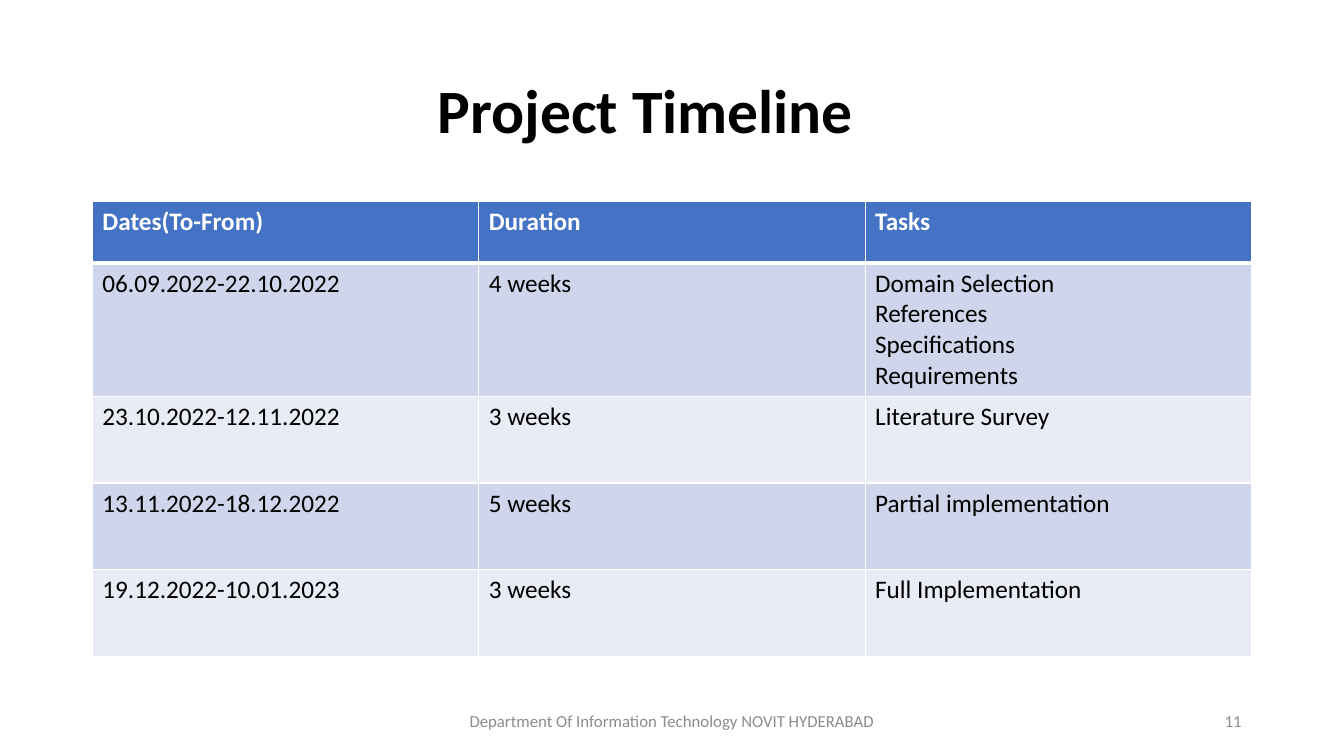
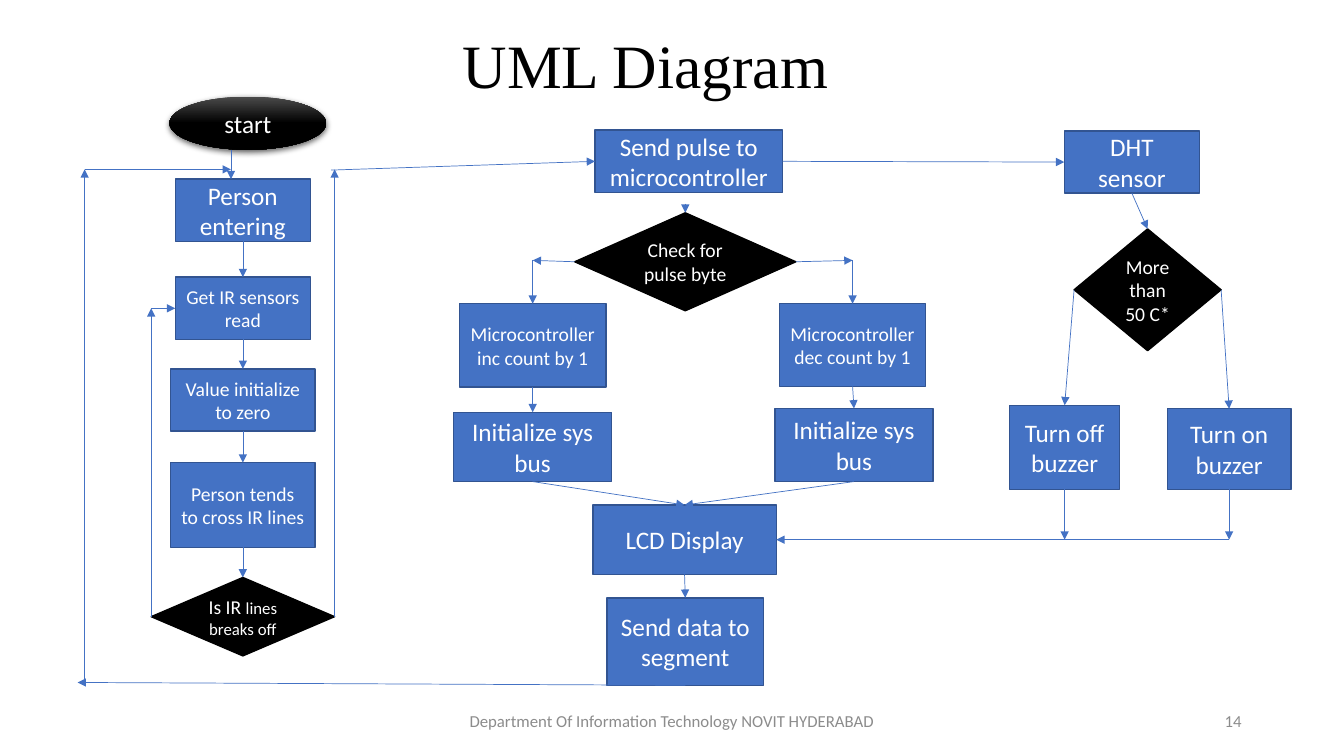
from dataclasses import dataclass

from lxml import etree
from pptx import Presentation
from pptx.dml.color import RGBColor
from pptx.enum import shapes as kinds, text as modes
from pptx.oxml import ns
from pptx.util import Pt

ALIGN = modes.PP_ALIGN
SHAPE = kinds.MSO_SHAPE
TOP, LEFT, BASE, RIGHT = range(4)  # connection sites of boxes and diamonds


@dataclass(frozen=True)
class Theme:
    sans: str = "Calibri"
    serif: str = "Times New Roman"
    black: str = "000000"
    white: str = "FFFFFF"
    gray: str = "8C8C8C"
    gloss: str = "4B4B4B"
    blue: str = "4472C4"
    edge: str = "325491"
    bands: tuple = ("CFD5EA", "E9EBF5")
    head: int = 44
    body: int = 18
    note: int = 14
    small: int = 12
    footer: str = "Department Of Information Technology NOVIT HYDERABAD"


def rgb(code):
    return RGBColor.from_string(code)


def pts(*nums):
    return [Pt(n) for n in nums]


def sub(node, tag, **attrs):
    return etree.SubElement(node, ns.qn("a:" + tag), attrs)


class Deck:
    def __init__(self, theme):
        self.theme = theme
        self.file = Presentation()
        self.file.slide_width, self.file.slide_height = pts(960, 540)
        self.page = None

    def slide(self, title, number, top, height, font, bold=False):
        """Start a slide with its title, footer and number."""
        t = self.theme
        self.page = self.file.slides.add_slide(self.file.slide_layouts[5])
        shape = self.page.shapes.title
        shape.left, shape.top, shape.width, shape.height = pts(66, top, 828, height)
        frame = shape.text_frame
        frame.auto_size = modes.MSO_AUTO_SIZE.NONE
        frame.vertical_anchor = modes.MSO_ANCHOR.MIDDLE
        frame.margin_right = Pt(45)
        para = frame.paragraphs[0]
        para.alignment = ALIGN.CENTER
        para.line_spacing = 0.9
        self.run(para, title, t.head, t.black, font, bold)
        self.label(t.footer, 318, 324, ALIGN.CENTER)
        self.label(str(number), 678, 216, ALIGN.RIGHT)

    def run(self, para, words, size, color, font=None, bold=False):
        run = para.add_run()
        run.text = words
        run.font.name = font or self.theme.sans
        run.font.size = Pt(size)
        run.font.bold = bold
        run.font.color.rgb = rgb(color)

    def label(self, words, left, width, align):
        """Add a line of text in the footer band."""
        box = self.page.shapes.add_textbox(*pts(left, 500.5, width, 28.75))
        frame = box.text_frame
        frame.word_wrap = True
        frame.vertical_anchor = modes.MSO_ANCHOR.MIDDLE
        para = frame.paragraphs[0]
        para.alignment = align
        self.run(para, words, self.theme.small, self.theme.gray)

    def table(self, left, top, width, heights, rows):
        grid = self.page.shapes.add_table(
            len(rows), len(rows[0]), *pts(left, top, width, sum(heights))).table
        grid.horz_banding = False
        for i, (high, row) in enumerate(zip(heights, rows)):
            grid.rows[i].height = Pt(high)
            for j, lines in enumerate(row):
                self.cell(grid.cell(i, j), lines.split("\n"), i)

    def cell(self, cell, lines, row):
        t = self.theme
        head = row == 0
        props = cell._tc.get_or_add_tcPr()
        for side in "LRTB":
            thick = (side == "B" and head) or (side == "T" and row == 1)
            line = sub(props, "ln" + side, w=str(Pt(3 if thick else 1)))
            sub(sub(line, "solidFill"), "srgbClr", val=t.white)
        cell.fill.solid()
        cell.fill.fore_color.rgb = rgb(t.blue if head else t.bands[(row - 1) % 2])
        for k, words in enumerate(lines):
            frame = cell.text_frame
            para = frame.add_paragraph() if k else frame.paragraphs[0]
            self.run(para, words, t.body, t.white if head else t.black, bold=head)

    def node(self, kind, mid, top, width, height, runs, fill, edge):
        """Add a shape centred on x = mid; runs are (words, size) pairs."""
        shape = self.page.shapes.add_shape(
            kind, *pts(mid - width / 2, top, width, height))
        shape.shadow.inherit = False
        shape.fill.solid()
        shape.fill.fore_color.rgb = rgb(fill)
        shape.line.color.rgb = rgb(edge)
        shape.line.width = Pt(1)
        para = shape.text_frame.paragraphs[0]
        para.alignment = ALIGN.CENTER
        for words, size in runs:
            self.run(para, words, size, self.theme.white)
        return shape

    def box(self, mid, top, width, height, words, size=None):
        t = self.theme
        return self.node(SHAPE.RECTANGLE, mid, top, width, height,
                         [(words, size or t.body)], t.blue, t.edge)

    def choice(self, mid, top, width, height, *runs):
        t = self.theme
        return self.node(SHAPE.FLOWCHART_DECISION, mid, top, width, height,
                         runs, t.black, t.black)

    def start(self, mid, top, width, height, words):
        """Add the glossy oval where the flow begins."""
        t = self.theme
        oval = self.node(SHAPE.OVAL, mid, top, width, height,
                         [(words, t.body)], t.black, t.black)
        oval.line.fill.background()
        oval.fill.gradient()
        oval.fill.gradient_angle = 270
        stops = zip(oval.fill.gradient_stops, (t.gloss, t.black), (0, 0.5))
        for stop, color, place in stops:
            stop.color.rgb = rgb(color)
            stop.position = place
        glow = oval._element.spPr.find(ns.qn("a:effectLst"))
        shade = sub(glow, "outerShdw", blurRad=str(Pt(4.5)), dist=str(Pt(1.5)),
                    dir="5400000", algn="ctr", rotWithShape="0")
        sub(sub(shade, "srgbClr", val=t.black), "alpha", val="63000")

    def arrow(self, start, end):
        """Draw an arrow; each end is (x, y) or (shape, site)."""
        glued = [not isinstance(e[0], (int, float)) for e in (start, end)]
        spots = [(0, 0) if g else e for g, e in zip(glued, (start, end))]
        line = self.page.shapes.add_connector(
            kinds.MSO_CONNECTOR.STRAIGHT, *pts(*spots[0], *spots[1]))
        if glued[0]:
            line.begin_connect(*start)
        if glued[1]:
            line.end_connect(*end)
        line.line.color.rgb = rgb(self.theme.blue)
        line.line.width = Pt(0.5)
        props = line._element.spPr
        sub(props.find(ns.qn("a:ln")), "tailEnd", type="triangle")
        sub(props, "effectLst")


def timeline(deck):
    deck.slide("Project Timeline", 11, 28.75, 104.4, deck.theme.sans, True)
    deck.table(66, 144, 828, [44, 95, 62, 62, 62], [
        ("Dates(To-From)", "Duration", "Tasks"),
        ("06.09.2022-22.10.2022", "4 weeks",
         "Domain Selection\nReferences\nSpecifications\nRequirements"),
        ("23.10.2022-12.11.2022", "3 weeks", "Literature Survey"),
        ("13.11.2022-18.12.2022", "5 weeks", "Partial implementation"),
        ("19.12.2022-10.01.2023", "3 weeks", "Full Implementation"),
    ])


def diagram(deck):
    t = deck.theme
    deck.slide("UML Diagram", 14, 18.75, 59.75, t.serif)

    door, core, plus, minus = 173.5, 489.5, 380.5, 609
    deck.start(177, 69, 112, 38, "start")
    enter = deck.box(door, 128, 96.5, 44.5, "Person entering")
    read = deck.box(door, 198, 96.5, 44.5, "Get IR sensors read", t.note)
    zero = deck.box(door, 263.5, 103, 44.5, "Value initialize to zero", t.note)
    cross = deck.box(door, 330.5, 103, 60.5, "Person tends to cross IR lines", t.note)
    breaks = deck.choice(door, 412.5, 131, 56,
                         ("Is IR ", t.note), ("lines breaks off", t.small))
    pulse = deck.box(492, 93, 134, 44.5, "Send pulse to microcontroller")
    check = deck.choice(core, 152, 158, 70, ("Check for pulse byte", t.note))
    inc = deck.box(plus, 217, 104.5, 59.5, "Microcontroller inc count by 1", t.note)
    dec = deck.box(minus, 217, 104.5, 59, "Microcontroller dec count by 1", t.note)
    bus_a = deck.box(plus, 294.5, 113, 49.5, "Initialize sys bus")
    bus_b = deck.box(610, 291.75, 113, 52.25, "Initialize sys bus")
    lcd = deck.box(489, 360.75, 131, 49.5, "LCD Display")
    data = deck.box(core, 427, 112, 62.5, "Send data to segment")
    heat = deck.box(808.5, 93.5, 96.5, 44.5, "DHT sensor")
    limit = deck.choice(819.75, 163.5, 105, 87, ("More than 50 C*", t.note))
    off = deck.box(760.5, 289.5, 78.5, 60, "Turn off buzzer")
    on = deck.box(878, 292, 88.5, 57.5, "Turn on buzzer")

    falls = [(enter, read), (read, zero), (zero, cross), (cross, breaks),
             (inc, bus_a), (dec, bus_b), (bus_a, lcd), (bus_b, lcd),
             (lcd, data), (heat, limit)]
    for above, below in falls:
        deck.arrow((above, BASE), (below, TOP))

    edge, turn, bus = 60.5, 121, 385.5
    low, fork = 487.5, 186
    for start, end in [
        ((data, BASE), (55.5, low)),
        ((edge, low), (edge, turn)),
        ((edge, turn), (165, turn)),
        ((165, 107), (165, 128)),
        ((breaks, LEFT), (108, 220.25)),
        ((108, 220.25), (read, LEFT)),
        ((breaks, RIGHT), (239, turn)),
        ((236.5, 121.5), (pulse, LEFT)),
        ((pulse, RIGHT), (heat, LEFT)),
        ((core, 145.5), (check, TOP)),
        ((check, LEFT), (plus, fork)),
        ((plus, fork), (inc, TOP)),
        ((check, RIGHT), (minus, fork)),
        ((minus, fork), (dec, TOP)),
        ((limit, LEFT), (off, TOP)),
        ((limit, RIGHT), (on, TOP)),
        ((off, BASE), (760.5, bus)),
        ((on, BASE), (878, bus)),
        ((878, bus), (lcd, RIGHT)),
    ]:
        deck.arrow(start, end)


def main():
    deck = Deck(Theme())
    timeline(deck)
    diagram(deck)
    deck.file.save("out.pptx")


if __name__ == "__main__":
    main()
